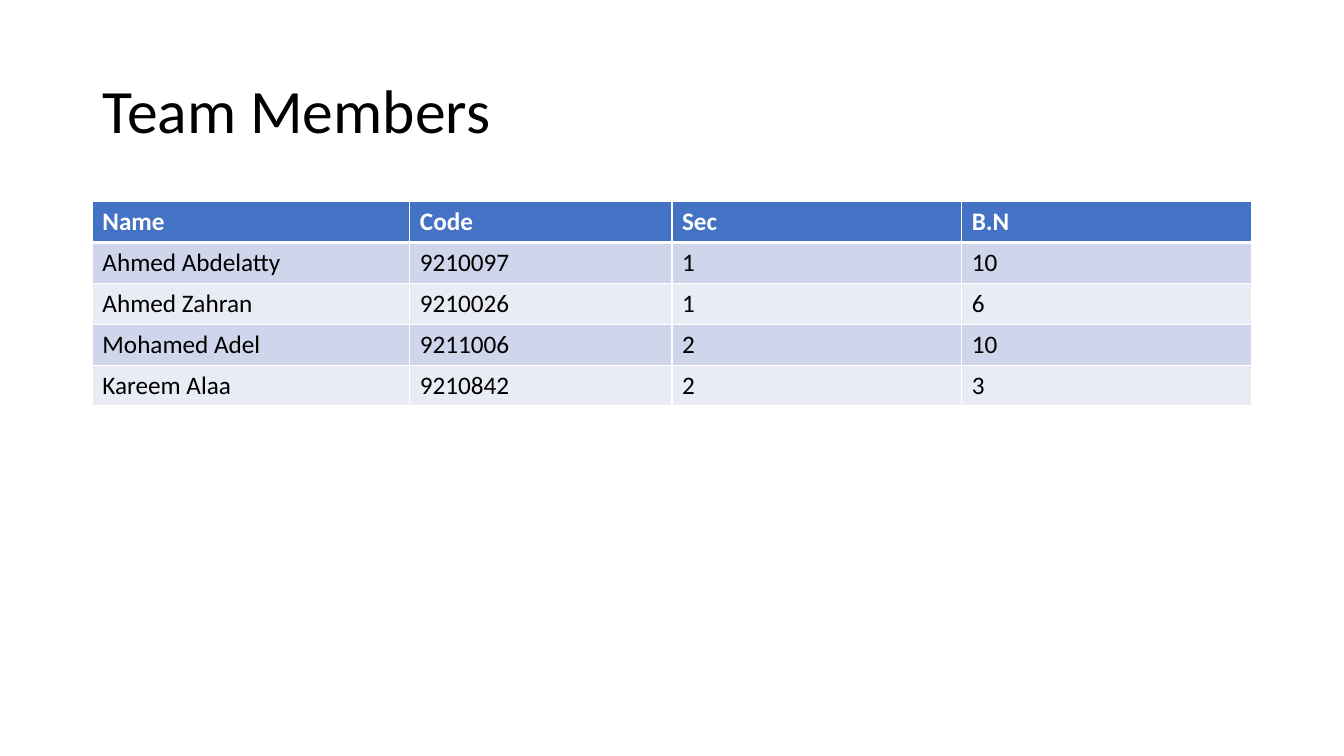
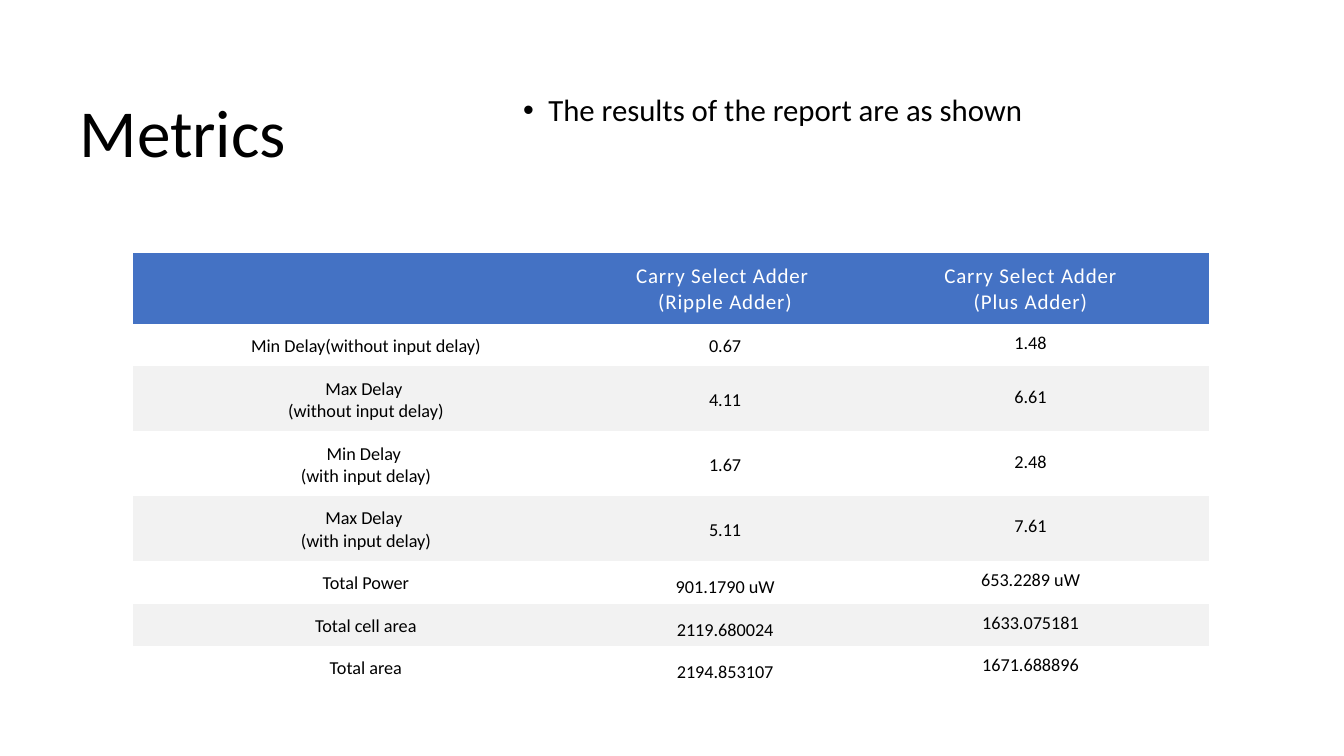
from pptx import Presentation
from pptx.dml.color import RGBColor
from pptx.enum.text import MSO_ANCHOR, MSO_AUTO_SIZE, PP_ALIGN
from pptx.oxml.ns import qn
from pptx.util import Pt
from lxml.etree import SubElement

COLORS = {
    "text": "000000",
    "white": "FFFFFF",
    "header": "4472C4",
    "band_dark": "CFD5EA",
    "band_light": "E9EBF5",
    "band_gray": "F2F2F2",
}
FONT = "Calibri"
NO_GRID_STYLE = "{2D5ABB26-0587-4C30-8999-92F81FD0307C}"


def write(frame, text, size, color="text", bold=False, align=PP_ALIGN.LEFT,
          line_spacing=None, space_before=None, tracking=0):
    for index, line in enumerate(text.split("\n")):
        paragraph = frame.paragraphs[0] if index == 0 else frame.add_paragraph()
        paragraph.alignment = align
        if line_spacing is not None:
            paragraph.line_spacing = line_spacing
        if space_before is not None:
            paragraph.space_before = Pt(space_before)
        run = paragraph.add_run()
        run.text = line
        run.font.name = FONT
        run.font.size = Pt(size)
        run.font.bold = bold
        run.font.color.rgb = RGBColor.from_string(COLORS[color])
        if tracking:
            run.font._element.set("spc", str(round(tracking * 100)))


def add_plain_table(slide, left, top, widths, heights):
    frame = slide.shapes.add_table(len(heights), len(widths), Pt(left), Pt(top),
                                   Pt(sum(widths)), Pt(sum(heights)))
    table = frame.table
    table._tbl.tblPr.find(qn("a:tableStyleId")).text = NO_GRID_STYLE
    for column, width in zip(table.columns, widths):
        column.width = Pt(width)
    for row, height in zip(table.rows, heights):
        row.height = Pt(height)
    return table


presentation = Presentation()
presentation.slide_width = Pt(960)
presentation.slide_height = Pt(540)

pages = [
    ("Team Members", 44, 5, (66, 28.75, 828, 104.4)),
    ("Metrics", 48, 1, (49.7, 39.6, 269.3, 115.2)),
]
slides = []
for title_text, size, layout, box in pages:
    slide = presentation.slides.add_slide(presentation.slide_layouts[layout])
    title = slide.shapes.title
    title.left, title.top, title.width, title.height = map(Pt, box)
    title.text_frame.auto_size = MSO_AUTO_SIZE.NONE
    title.text_frame.vertical_anchor = MSO_ANCHOR.MIDDLE
    write(title.text_frame, title_text, size, line_spacing=0.9)
    slides.append(slide)
team_slide, metrics_slide = slides

members = [
    ("Name", "Code", "Sec", "B.N"),
    ("Ahmed Abdelatty", "9210097", "1", "10"),
    ("Ahmed Zahran", "9210026", "1", "6"),
    ("Mohamed Adel", "9211006", "2", "10"),
    ("Kareem Alaa", "9210842", "2", "3"),
]
team_table = add_plain_table(team_slide, 66, 144, [226.8, 187.2, 207, 207], [29.2] * len(members))
for row, values in enumerate(members):
    is_header = row == 0
    fill = "header" if is_header else ("band_light", "band_dark")[row % 2]
    borders = {"a:lnL": 1, "a:lnR": 1, "a:lnT": 3 if row == 1 else 1, "a:lnB": 3 if is_header else 1}
    for column, value in enumerate(values):
        cell = team_table.cell(row, column)
        properties = cell._tc.get_or_add_tcPr()
        for tag, width in borders.items():
            line = SubElement(properties, qn(tag), w=str(Pt(width)))
            SubElement(SubElement(line, qn("a:solidFill")), qn("a:srgbClr"), val=COLORS["white"])
        cell.fill.solid()
        cell.fill.fore_color.rgb = RGBColor.from_string(COLORS[fill])
        write(cell.text_frame, value, 18, color="white" if is_header else "text", bold=is_header)

body = metrics_slide.placeholders[1]
body.left, body.top, body.width, body.height = map(Pt, (366.5, 39.6, 542.9, 115.2))
body.text_frame.auto_size = MSO_AUTO_SIZE.NONE
body.text_frame.vertical_anchor = MSO_ANCHOR.MIDDLE
body.text_frame.margin_bottom = Pt(38)
write(body.text_frame, "The results of the report are as shown", 22, line_spacing=0.9, space_before=10)
bullet_properties = body.text_frame.paragraphs[0]._p.get_or_add_pPr()
bullet_properties.set("marL", str(Pt(18)))
bullet_properties.set("indent", str(Pt(-18)))

metrics = [
    ("", "Carry Select Adder \n(Ripple Adder)", "Carry Select Adder\n(Plus Adder)"),
    ("Min Delay(without input delay)", "0.67", "1.48"),
    ("Max Delay \n(without input delay)", "4.11", "6.61"),
    ("Min Delay \n(with input delay)", "1.67", "2.48"),
    ("Max Delay \n(with input delay)", "5.11", "7.61"),
    ("Total Power", "901.1790 uW", "653.2289 uW"),
    ("Total cell area", "2119.680024", "1633.075181"),
    ("Total area", "2194.853107", "1671.688896"),
]
first_total_row = 5
heights = [50.7] + [46.4 if "\n" in values[0] else 30.4 for values in metrics[1:]]
metrics_table = add_plain_table(metrics_slide, 95, 180.7, [332.6, 180.7, 255.6], heights)
for row, values in enumerate(metrics):
    is_header = row == 0
    for column, value in enumerate(values):
        cell = metrics_table.cell(row, column)
        is_total = column == 1 and row >= first_total_row
        is_tight = is_total or (column == 2 and not is_header)
        cell.margin_left = cell.margin_right = Pt(0.7)
        cell.margin_top = Pt(0.7 if is_tight else 6.5)
        cell.margin_bottom = Pt(3.6 if is_tight else 5)
        cell.vertical_anchor = MSO_ANCHOR.BOTTOM if is_total else MSO_ANCHOR.MIDDLE
        if row % 2 and not is_header:
            cell.fill.background()
        else:
            cell.fill.solid()
            cell.fill.fore_color.rgb = RGBColor.from_string(COLORS["header" if is_header else "band_gray"])
        if value:
            write(cell.text_frame, value, 15 if is_header else 13, align=PP_ALIGN.CENTER,
                  color="white" if is_header else "text", tracking=0.6 if is_header else 0)

presentation.save("out.pptx")
